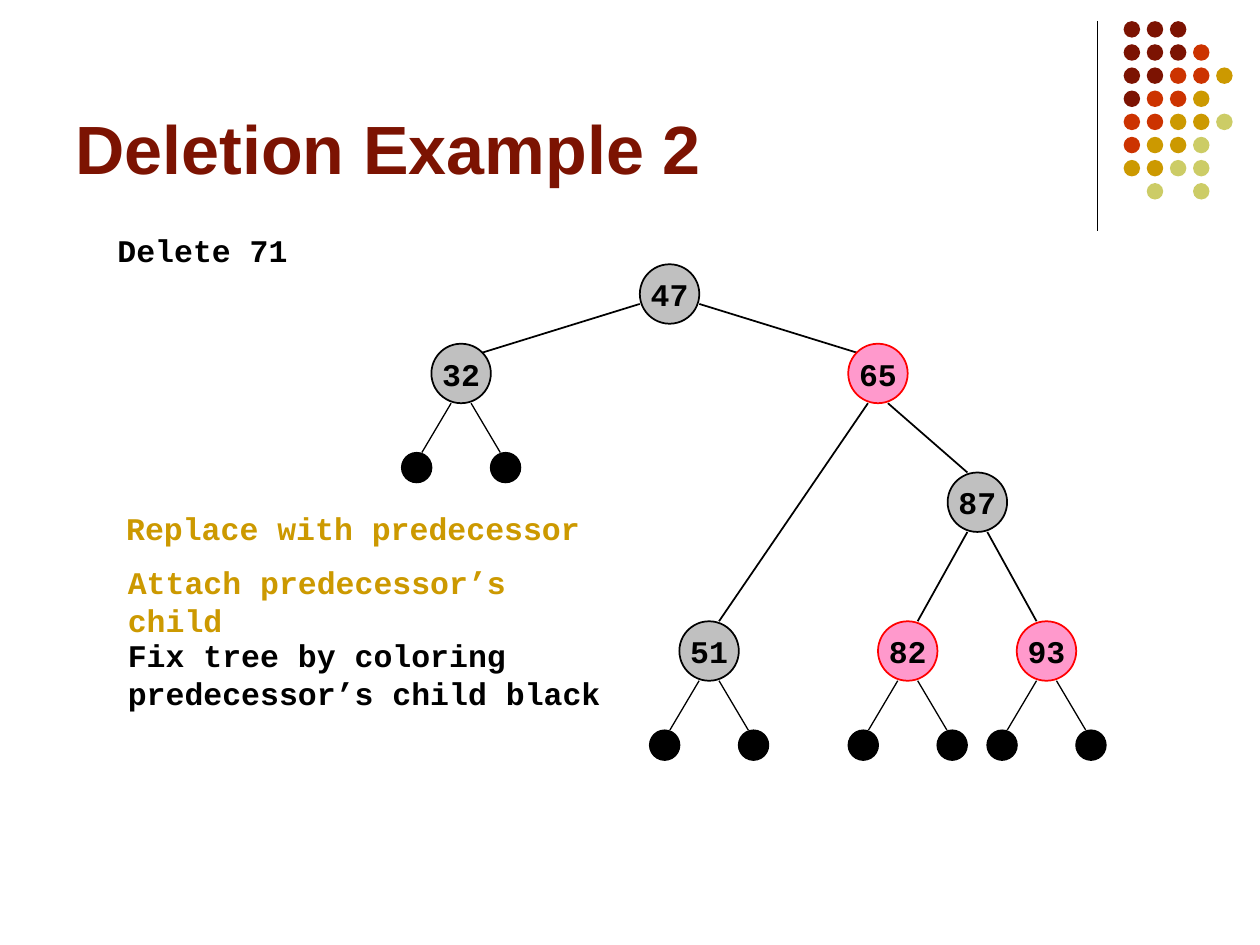
"""Build a slide showing a red-black tree after a deletion."""
from lxml import etree
from pptx import Presentation
from pptx.dml.color import RGBColor
from pptx.enum.shapes import MSO_CONNECTOR, MSO_SHAPE
from pptx.enum.text import MSO_ANCHOR, PP_ALIGN
from pptx.oxml.ns import qn
from pptx.util import Pt

LINE, OVAL = MSO_CONNECTOR.STRAIGHT, MSO_SHAPE.OVAL
LEFT, CENTER = PP_ALIGN.LEFT, PP_ALIGN.CENTER
TOP, MIDDLE, BOTTOM = MSO_ANCHOR.TOP, MSO_ANCHOR.MIDDLE, MSO_ANCHOR.BOTTOM

COLORS = {
    "black": "000000", "gray": "C0C0C0", "pink": "FF99CC", "red": "FF0000",
    "maroon": "7C1302", "rust": "CC3300", "gold": "CC9900", "olive": "CCCC66",
}
DOTS = ["mmm", "mmmr", "mmrrg", "mrrg", "rrggo", "rggo", "ggoo", " o o"]
HUES = {"m": "maroon", "r": "rust", "g": "gold", "o": "olive"}
NODES = {
    "47": (382.6, 168, "gray"), "32": (263.5, 213.4, "gray"),
    "65": (501.7, 213.4, "pink"), "87": (558.5, 287, "gray"),
    "51": (405.2, 372, "gray"), "82": (518.7, 372, "pink"),
    "93": (598, 372, "pink"),
}
EDGES = [("65", "51", -1), ("65", "87", 1), ("87", "82", -1), ("87", "93", 1)]
NOTES = [
    ("Delete 71", 60, 128.2, 187, "black"),
    ("Replace with predecessor", 65, 287.3, 295, "gold"),
    ("Attach predecessor’s child", 66, 318.2, 294, "gold"),
    ("Fix tree by coloring predecessor’s child black", 66, 360, 294, "black"),
]
RAD, FOOT, LEAF = 17, 5.7, 8.6


def color(name):
    return RGBColor.from_string(COLORS[name])


def write(frame, text, size=18, font="Courier New", hue="black",
          align=LEFT, anchor=TOP, wrap=True):
    frame.word_wrap = wrap
    frame.vertical_anchor = anchor
    frame.text = text
    para = frame.paragraphs[0]
    para.alignment = align
    style = para.font
    style.name, style.size, style.bold = font, Pt(size), True
    style.color.rgb = color(hue)


class Canvas:
    """Hold the slide and its drawing style."""

    def __init__(self, slide):
        self.slide = slide
        self.shapes = slide.shapes

    def title(self, text):
        box = self.shapes.title
        box.left, box.top, box.width, box.height = Pt(36), Pt(9.4), Pt(594), Pt(102)
        write(box.text_frame, text, size=39, font="Arial", hue="maroon", anchor=BOTTOM)

    def note(self, text, x, y, width, hue):
        box = self.shapes.add_textbox(Pt(x), Pt(y), Pt(width), Pt(28.8))
        write(box.text_frame, text, hue=hue)

    def line(self, x1, y1, x2, y2, width=1):
        link = self.shapes.add_connector(LINE, Pt(x1), Pt(y1), Pt(x2), Pt(y2))
        link.line.color.rgb = color("black")
        link.line.width = Pt(width)
        etree.SubElement(link.element.spPr, qn("a:effectLst"))

    def disc(self, x, y, rad, fill, edge=None, width=1):
        disc = self.shapes.add_shape(OVAL, Pt(x - rad), Pt(y - rad), Pt(2 * rad), Pt(2 * rad))
        disc.shadow.inherit = False
        disc.fill.solid()
        disc.fill.fore_color.rgb = color(fill)
        if edge:
            disc.line.color.rgb = color(edge)
            disc.line.width = Pt(width)
        else:
            disc.line.fill.background()
        return disc

    def node(self, text, x, y, fill):
        disc = self.disc(x, y, RAD, fill, "red" if fill == "pink" else "black")
        frame = disc.text_frame
        frame.margin_left = frame.margin_right = Pt(0)
        frame.margin_top = frame.margin_bottom = Pt(0)
        write(frame, text, align=CENTER, anchor=MIDDLE, wrap=False)

    def leaves(self, x, y):
        for side in (-1, 1):
            top = y + 45.2
            self.line(x + side * FOOT, y + RAD, x + side * 22.4, top, 0.75)
            self.disc(x + side * 25.4, top + LEAF, LEAF, "black", "black", 0.75)

    def dots(self):
        for row, marks in enumerate(DOTS):
            for col, mark in enumerate(marks):
                if mark in HUES:
                    self.disc(646.8 + 13.22 * col, 16.8 + 13.22 * row, 4.7, HUES[mark])


def main():
    deck = Presentation()
    deck.slide_width, deck.slide_height = Pt(720), Pt(540)
    page = Canvas(deck.slides.add_slide(deck.slide_layouts[5]))

    page.line(627, 12, 627, 132, 0.75)
    page.dots()
    page.title("Deletion Example 2")
    for note in NOTES:
        page.note(*note)

    x, y, _ = NODES["47"]
    for kid, side in (("32", -1), ("65", 1)):
        kx, ky, _ = NODES[kid]
        page.line(x + side * RAD, y + FOOT, kx - side * 11.5, ky - 11.7)
    for top, kid, side in EDGES:
        x, y, _ = NODES[top]
        kx, ky, _ = NODES[kid]
        page.line(x + side * FOOT, y + RAD, kx - side * FOOT, ky - RAD)
    for name in ("32", "51", "82", "93"):
        page.leaves(*NODES[name][:2])
    for name, place in NODES.items():
        page.node(name, *place)

    deck.save("out.pptx")


if __name__ == "__main__":
    main()
